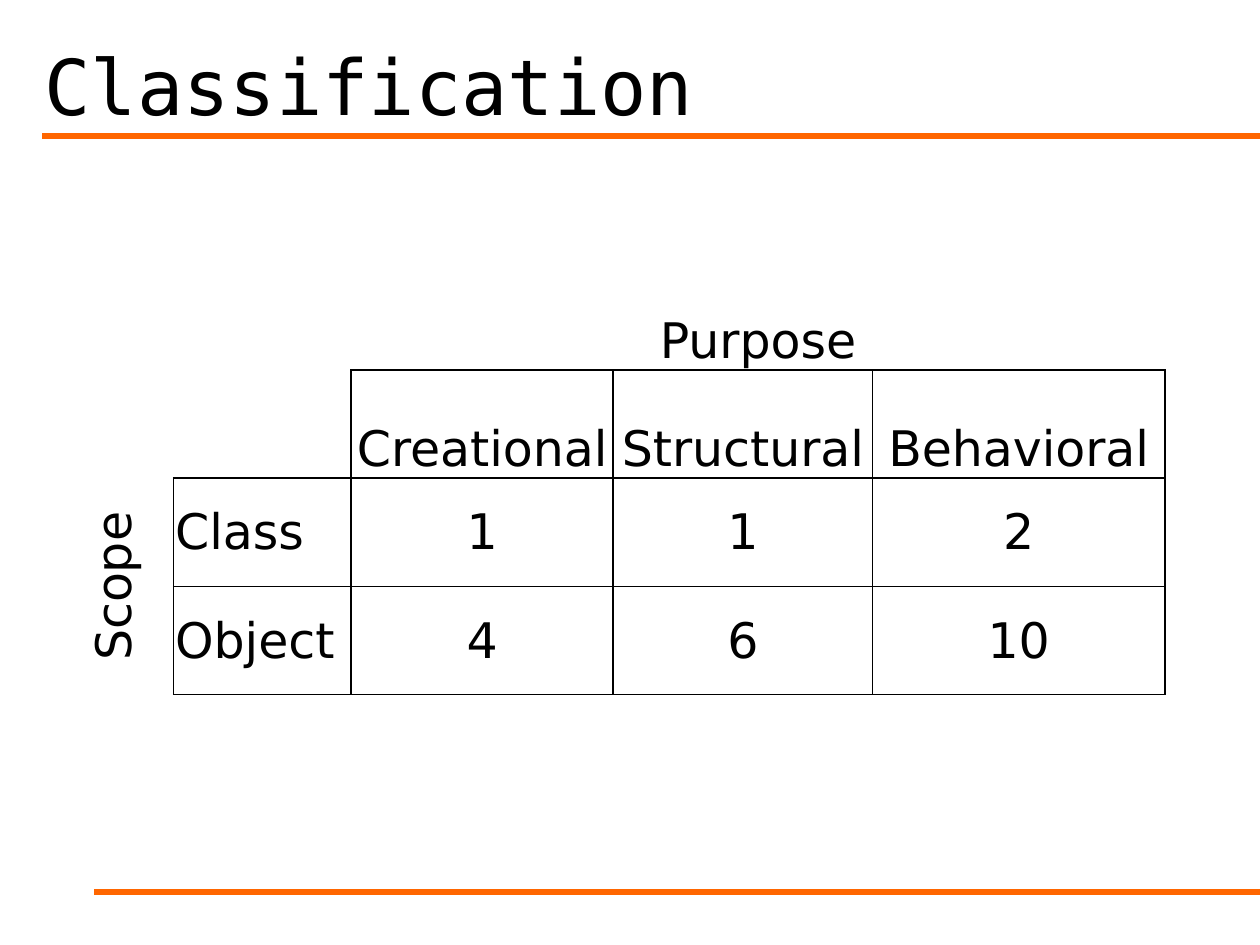
from dataclasses import dataclass

from lxml import etree
from pptx import Presentation
from pptx.dml.color import RGBColor
from pptx.enum.shapes import MSO_CONNECTOR
from pptx.enum.text import MSO_ANCHOR, MSO_AUTO_SIZE, PP_ALIGN
from pptx.oxml.ns import qn
from pptx.util import Cm, Pt

STRAIGHT = MSO_CONNECTOR.STRAIGHT
MIDDLE, BOTTOM = MSO_ANCHOR.MIDDLE, MSO_ANCHOR.BOTTOM
LEFT, CENTER = PP_ALIGN.LEFT, PP_ALIGN.CENTER
NO_FIT = MSO_AUTO_SIZE.NONE


@dataclass(frozen=True)
class Theme:
    ink: str = "000000"
    accent: str = "FF6600"
    title_font: str = "DejaVu Sans Mono"
    table_font: str = "DejaVu Sans"
    title_size: int = 44
    table_size: int = 28
    rule_width: int = 3
    border_width: int = 1


THEME = Theme()

TITLE = "Classification"
PATTERN_COUNTS = [
    ["", "", "Purpose", "", ""],
    ["", "", "Creational", "Structural", "Behavioral"],
    ["Scope", "Class", "1", "1", "2"],
    ["", "Object", "4", "6", "10"],
]
HEADER_ROWS = 2
LABEL_COLUMN = 1

SLIDE_WIDTH, SLIDE_HEIGHT = 25.4, 19.05
RULES = [(0.84, 2.74), (1.9, 17.98)]  # left end and height; each runs to the right edge
TABLE_LEFT, TABLE_TOP = 1.7, 5.28
COLUMN_WIDTHS = [1.8, 3.58, 5.28, 5.23, 5.89]
ROW_HEIGHT = 2.18
CELL_INSET = 0.03


def style_text(frame, font_name, size, align):
    for paragraph in frame.paragraphs:
        paragraph.alignment = align
        for run in paragraph.runs:
            run.font.name = font_name
            run.font.size = Pt(size)
            run.font.color.rgb = RGBColor.from_string(THEME.ink)


def add_title(slide):
    title = slide.shapes.title
    title.left, title.top, title.width, title.height = Cm(0.64), Cm(0.43), Cm(23.93), Cm(2.54)
    frame = title.text_frame
    frame.text = TITLE
    frame.auto_size = NO_FIT
    frame.vertical_anchor = MIDDLE
    style_text(frame, THEME.title_font, THEME.title_size, LEFT)


def add_rule(slide, left, y):
    rule = slide.shapes.add_connector(STRAIGHT, Cm(SLIDE_WIDTH), Cm(y), Cm(left), Cm(y))
    rule.line.color.rgb = RGBColor.from_string(THEME.accent)
    rule.line.width = Pt(THEME.rule_width)
    etree.SubElement(rule._element.spPr, qn("a:effectLst"))


def is_framed(row, column):
    """Tell whether a cell is boxed: the grid, without its empty corner and outer labels."""
    inside = 1 <= row < len(PATTERN_COUNTS) and 1 <= column < len(COLUMN_WIDTHS)
    return inside and (row, column) != (1, 1)


def set_borders(cell, row, column):
    """Draw each edge that touches a framed cell and clear the others."""
    properties = cell._tc.get_or_add_tcPr()
    neighbours = {
        "a:lnL": (row, column - 1),
        "a:lnR": (row, column + 1),
        "a:lnT": (row - 1, column),
        "a:lnB": (row + 1, column),
    }
    for tag, neighbour in neighbours.items():
        edge = etree.SubElement(properties, qn(tag), w=str(Pt(THEME.border_width)))
        if is_framed(row, column) or is_framed(*neighbour):
            fill = etree.SubElement(edge, qn("a:solidFill"))
            etree.SubElement(fill, qn("a:srgbClr"), val=THEME.ink)
        else:
            etree.SubElement(edge, qn("a:noFill"))


def add_table(slide):
    row_count, column_count = len(PATTERN_COUNTS), len(COLUMN_WIDTHS)
    table = slide.shapes.add_table(
        row_count, column_count, Cm(TABLE_LEFT), Cm(TABLE_TOP),
        Cm(sum(COLUMN_WIDTHS)), Cm(ROW_HEIGHT * row_count),
    ).table
    table.first_row = table.horz_banding = False
    for column, width in zip(table.columns, COLUMN_WIDTHS):
        column.width = Cm(width)
    for row in table.rows:
        row.height = Cm(ROW_HEIGHT)

    for r, values in enumerate(PATTERN_COUNTS):
        for c, value in enumerate(values):
            cell = table.cell(r, c)
            cell.margin_left = cell.margin_right = cell.margin_top = Cm(CELL_INSET)
            cell.margin_bottom = 0
            cell.vertical_anchor = BOTTOM if r < HEADER_ROWS else MIDDLE
            set_borders(cell, r, c)
            cell.fill.background()
            if value:
                cell.text_frame.text = value
                align = LEFT if c == LABEL_COLUMN else CENTER
                style_text(cell.text_frame, THEME.table_font, THEME.table_size, align)

    purpose, scope = table.cell(0, 2), table.cell(2, 0)
    purpose.merge(table.cell(0, column_count - 1))
    scope.merge(table.cell(row_count - 1, 0))
    scope._tc.get_or_add_tcPr().set("vert", "vert270")


def main():
    deck = Presentation()
    deck.slide_width, deck.slide_height = Cm(SLIDE_WIDTH), Cm(SLIDE_HEIGHT)
    slide = deck.slides.add_slide(deck.slide_layouts[5])
    for left, y in RULES:
        add_rule(slide, left, y)
    add_title(slide)
    add_table(slide)
    deck.save("out.pptx")


if __name__ == "__main__":
    main()
